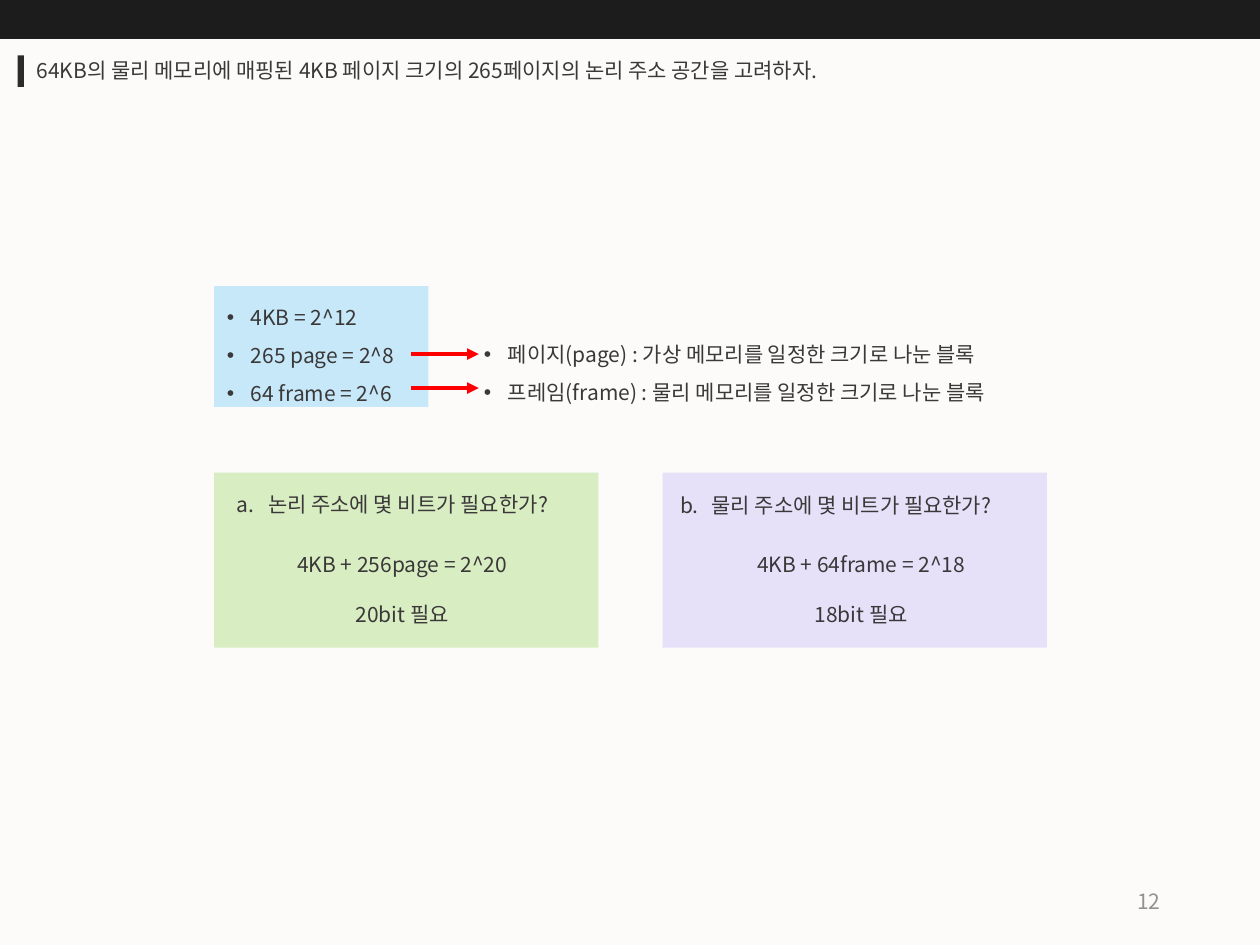
from typing import NamedTuple

from pptx import Presentation
from pptx.dml.color import RGBColor
from pptx.enum.shapes import MSO_CONNECTOR, MSO_SHAPE
from pptx.enum.text import MSO_ANCHOR, MSO_AUTO_SIZE, PP_ALIGN
from pptx.oxml.ns import qn
from pptx.util import Inches, Pt

RECTANGLE = MSO_SHAPE.RECTANGLE
STRAIGHT = MSO_CONNECTOR.STRAIGHT
TOP, MIDDLE = MSO_ANCHOR.TOP, MSO_ANCHOR.MIDDLE
NO_FIT, GROW = MSO_AUTO_SIZE.NONE, MSO_AUTO_SIZE.SHAPE_TO_FIT_TEXT
LEFT, CENTER, RIGHT = PP_ALIGN.LEFT, PP_ALIGN.CENTER, PP_ALIGN.RIGHT

FONT = "Noto Sans CJK KR"
PAPER = RGBColor(0xFC, 0xFB, 0xFA)
HEADER = RGBColor(0x1D, 0x1C, 0x1C)
MARKER = RGBColor(0x2C, 0x2A, 0x2A)
INK = RGBColor(0x3A, 0x38, 0x38)
GRAY = RGBColor(0x91, 0x91, 0x91)
BLUE = RGBColor(0xC7, 0xE8, 0xF9)
GREEN = RGBColor(0x92, 0xD0, 0x50)
PURPLE = RGBColor(0xB9, 0xAB, 0xF7)
RED = RGBColor(0xFF, 0x00, 0x00)


class Area(NamedTuple):
    left: float
    top: float
    width: float
    height: float

    def lengths(self) -> list:
        return [Inches(value) for value in self]


class Question(NamedTuple):
    number: int
    color: RGBColor
    panel: Area
    question_area: Area
    question: str
    answer_area: Area
    formula: str
    result: str


QUESTIONS = [
    Question(1, GREEN, Area(1.7, 3.75, 3.05, 1.39),
             Area(1.78, 3.85, 2.96, 0.3), "논리 주소에 몇 비트가 필요한가?",
             Area(2.26, 4.33, 2, 0.71), "4KB + 256page = 2^20", "20bit 필요"),
    Question(2, PURPLE, Area(5.26, 3.75, 3.05, 1.39),
             Area(5.3, 3.86, 2.96, 0.3), "물리 주소에 몇 비트가 필요한가?",
             Area(5.91, 4.33, 1.98, 0.71), "4KB + 64frame = 2^18", "18bit 필요"),
]
SIZES = ["4KB = 2^12", "265 page = 2^8", "64 frame = 2^6"]
TERMS = ["페이지(page) : 가상 메모리를 일정한 크기로 나눈 블록",
         "프레임(frame) : 물리 메모리를 일정한 크기로 나눈 블록"]
ARROW_HEIGHTS = [2.81, 3.08]


def add_block(page, area: Area, color: RGBColor, opacity: int = 100) -> None:
    block = page.shapes.add_shape(RECTANGLE, *area.lengths())
    block.shadow.inherit = False
    block.fill.solid()
    block.fill.fore_color.rgb = color
    block.line.fill.background()
    if opacity < 100:
        tint = block.fill._xPr.find(".//" + qn("a:srgbClr"))
        alpha = tint.makeelement(qn("a:alpha"), {"val": str(opacity * 1000)})
        tint.append(alpha)


def add_span(para, text: str, color: RGBColor = INK) -> None:
    span = para.add_run()
    span.text = text
    span.font.name = FONT
    span.font.size = Pt(12)
    span.font.color.rgb = color
    props = span.font._element
    props.append(props.makeelement(qn("a:ea"), {"typeface": FONT}))


def set_bullet(para, indent: float, tag: str, **attributes: str) -> None:
    props = para._p.get_or_add_pPr()
    props.set("marL", str(Inches(indent)))
    props.set("indent", str(-Inches(indent)))
    props.append(props.makeelement(qn(tag), attributes))


def add_text_box(page, area: Area, wrap: bool = False):
    box = page.shapes.add_textbox(*area.lengths())
    box.text_frame.word_wrap = wrap
    box.text_frame.auto_size = GROW
    return box


def place(holder, area: Area):
    holder.left, holder.top, holder.width, holder.height = area.lengths()
    frame = holder.text_frame
    frame.auto_size = NO_FIT
    frame.word_wrap = True
    frame.vertical_anchor = TOP
    return frame


def fill_list(holder, area: Area, items: list[str]) -> None:
    frame = place(holder, area)
    for index, item in enumerate(items):
        para = frame.add_paragraph() if index else frame.paragraphs[0]
        para.line_spacing = 1.5
        para.space_before = Pt(0)
        set_bullet(para, 0.19, "a:buChar", char="•")
        add_span(para, item)


def add_arrow(page, start: float, end: float, height: float) -> None:
    arrow = page.shapes.add_connector(
        STRAIGHT, Inches(start), Inches(height), Inches(end), Inches(height))
    arrow.line.color.rgb = RED
    arrow.line.width = Pt(2.25)
    line = arrow.line._get_or_add_ln()
    line.append(line.makeelement(qn("a:tailEnd"), {"type": "triangle"}))
    props = arrow._element.spPr
    props.append(props.makeelement(qn("a:effectLst"), {}))


def add_question(page, item: Question) -> None:
    add_block(page, item.panel, item.color, opacity=32)
    box = add_text_box(page, item.question_area)
    para = box.text_frame.paragraphs[0]
    set_bullet(para, 0.25, "a:buAutoNum", type="alphaLcPeriod",
               startAt=str(item.number))
    add_span(para, item.question)

    frame = add_text_box(page, item.answer_area).text_frame
    add_span(frame.paragraphs[0], item.formula)
    para = frame.add_paragraph()
    para.alignment = CENTER
    para.space_before = Pt(14.3)
    add_span(para, item.result)


def main() -> None:
    deck = Presentation()
    deck.slide_width, deck.slide_height = Inches(10), Inches(7.5)
    page = deck.slides.add_slide(deck.slide_layouts.get_by_name("Two Content"))
    page.background.fill.solid()
    page.background.fill.fore_color.rgb = PAPER
    title, sizes, terms = page.placeholders

    # Header bar, title and its marker
    add_block(page, Area(0, 0, 10, 0.31), HEADER)
    add_block(page, Area(0.14, 0.44, 0.05, 0.25), MARKER)
    para = place(title, Area(0.19, 0.41, 8.15, 0.3)).paragraphs[0]
    para.alignment = LEFT
    add_span(para, "64KB의 물리 메모리에 매핑된 4KB 페이지 크기의 "
                   "265페이지의 논리 주소 공간을 고려하자.")

    # Sizes, with arrows to the terms they use
    sizes.fill.solid()
    sizes.fill.fore_color.rgb = BLUE
    fill_list(sizes, Area(1.7, 2.27, 1.7, 0.96), SIZES)
    fill_list(terms, Area(3.74, 2.56, 4.59, 0.66), TERMS)
    for height in ARROW_HEIGHTS:
        add_arrow(page, 3.26, 3.8, height)

    # Questions and answers
    for item in QUESTIONS:
        add_question(page, item)

    # Page number
    frame = add_text_box(page, Area(7.06, 6.95, 2.25, 0.4), wrap=True).text_frame
    frame.auto_size = NO_FIT
    frame.vertical_anchor = MIDDLE
    frame.paragraphs[0].alignment = RIGHT
    add_span(frame.paragraphs[0], "12", GRAY)

    deck.save("out.pptx")


if __name__ == "__main__":
    main()
